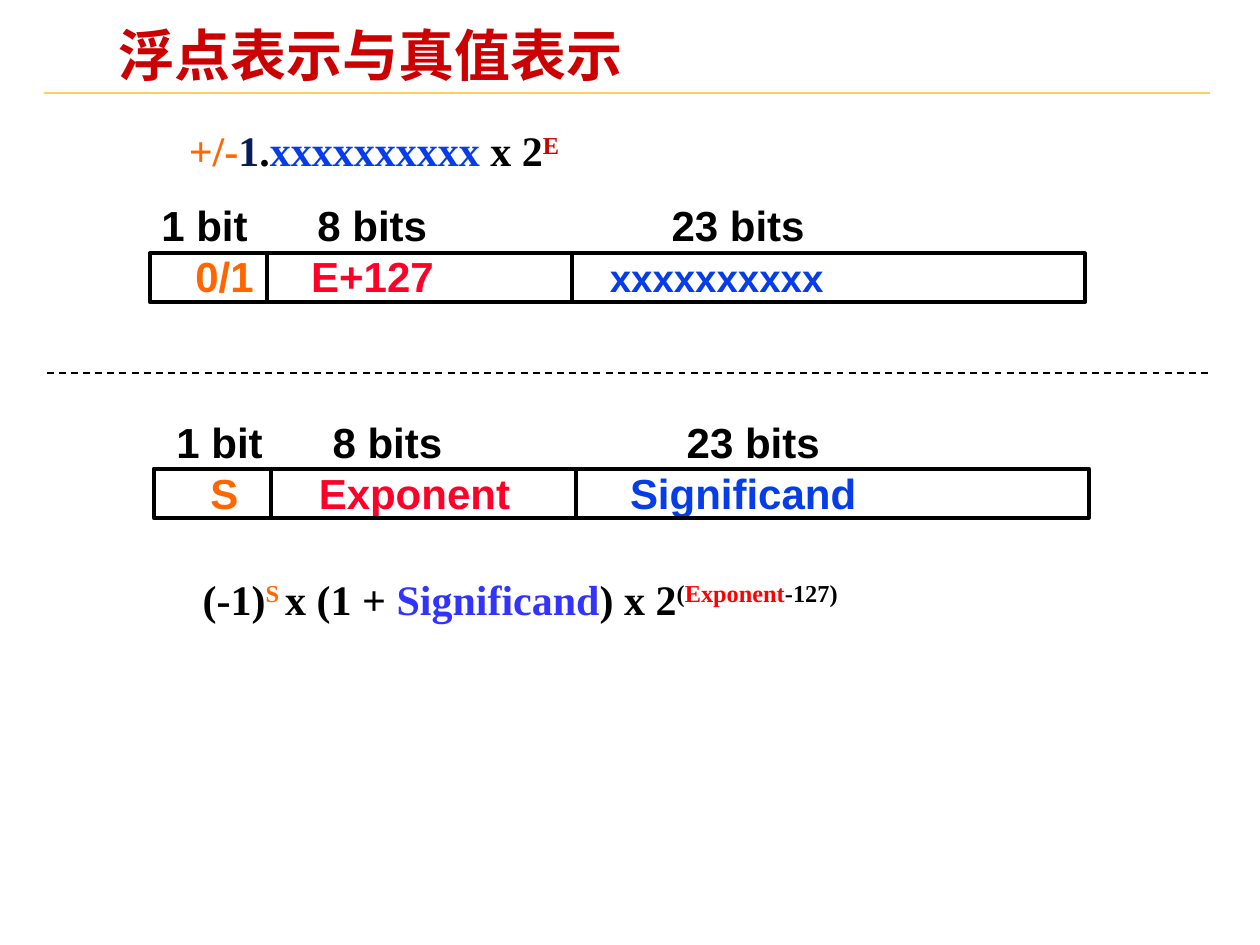
import pptx
import pptx.util
import pptx.dml.color
import pptx.enum.dml
import pptx.enum.shapes
import pptx.enum.text
import lxml.etree

Inches = pptx.util.Inches
Pt = pptx.util.Pt
RGBColor = pptx.dml.color.RGBColor

BLACK = RGBColor(0x00, 0x00, 0x00)
CRIMSON = RGBColor(0xCC, 0x00, 0x00)
GOLD = RGBColor(0xFF, 0xCC, 0x66)
ORANGE = RGBColor(0xFF, 0x66, 0x00)
NAVY = RGBColor(0x08, 0x1D, 0x58)
BLUE = RGBColor(0x06, 0x3D, 0xE9)
PINK = RGBColor(0xFD, 0x01, 0x28)
RED = RGBColor(0xFF, 0x00, 0x00)
VIOLET = RGBColor(0x33, 0x33, 0xFF)
SERIF = "Times New Roman"
NS = "{http://schemas.openxmlformats.org/drawingml/2006/main}"


def add_tabs(para, stops):
    tabs = lxml.etree.SubElement(para._p.get_or_add_pPr(), NS + "tabLst")
    for stop in stops:
        lxml.etree.SubElement(tabs, NS + "tab", pos=str(Inches(stop)), algn="l")


def add_text(slide, box, lines, size=24, font="Arial", pad=(0.07, 0.03),
             wrap=True, space=None, gap=0, stops=()):
    shape = slide.shapes.add_textbox(*map(Inches, box))
    frame = shape.text_frame
    frame.word_wrap = wrap
    frame.vertical_anchor = pptx.enum.text.MSO_ANCHOR.TOP
    frame.margin_left = frame.margin_right = Inches(pad[0])
    frame.margin_top = frame.margin_bottom = Inches(pad[1])
    for i, line in enumerate(lines):
        para = frame.add_paragraph() if i else frame.paragraphs[0]
        if space:
            para.line_spacing = space
        if i:
            para.space_before = Pt(gap)
        if stops:
            add_tabs(para, stops[i])
        for words, color, *extra in line:
            style = extra[0] if extra else {}
            run = para.add_run()
            run.text = words
            run.font.name = font
            run.font.size = Pt(style.get("size", size))
            run.font.bold = True
            run.font.color.rgb = color
            if "raise" in style:
                run._r.get_or_add_rPr().set("baseline", str(style["raise"] * 1000))


def add_line(shapes, start, end, color=BLACK, width=1.0, dash=None):
    line = shapes.add_connector(pptx.enum.shapes.MSO_CONNECTOR.STRAIGHT,
                                *map(Inches, start + end))
    line.line.color.rgb = color
    line.line.width = Pt(width)
    if dash:
        line.line.dash_style = dash
    lxml.etree.SubElement(line._element.spPr, NS + "effectLst")


def add_title(slide, box):
    add_line(slide.shapes, (0.35, 0.74), (9.6, 0.74), GOLD)
    add_text(slide, box, [[("浮点表示与真值表示", CRIMSON)]], size=32, space=0.87)


def add_word(slide, box, frame, values, stops):
    labels = [("\t1 bit\t8 bits\t23 bits", BLACK)]
    add_text(slide, box, [labels, values], space=0.9, gap=3,
             stops=[(0.74, 1.98, 4.79), stops])
    left, top, width, height = frame
    group = slide.shapes.add_group_shape()
    rect = group.shapes.add_shape(pptx.enum.shapes.MSO_SHAPE.RECTANGLE,
                                  *map(Inches, frame))
    rect.shadow.inherit = False
    rect.fill.background()
    rect.line.color.rgb = BLACK
    rect.line.width = Pt(2.25)
    for step in (0.93, 3.35):
        add_line(group.shapes, (left + step, top), (left + step, top + height), width=2.25)


def add_formula(slide, box, runs, wrap=True):
    add_text(slide, box, [runs], font=SERIF, pad=(0.1, 0.05), wrap=wrap)


def main():
    deck = pptx.Presentation()
    deck.slide_width, deck.slide_height = Inches(10), Inches(7.5)
    slide = deck.slides.add_slide(deck.slide_layouts[6])
    power = {"raise": 30}
    add_title(slide, (0.87, 0.21, 6.64, 0.52))
    add_word(slide, (0.47, 1.6, 8.96, 0.81), (1.19, 2.01, 7.42, 0.39),
             [("\t0/1", ORANGE), ("\tE+127", PINK), ("\txxxxxxxxxx", BLUE, {"size": 22})],
             (1.01, 1.93, 4.3))
    add_formula(slide, (1.4, 0.94, 3.14, 0.5),
                [("+/-", ORANGE), ("1", NAVY), (".", BLACK), ("xxxxxxxxxx", BLUE),
                 (" x 2", BLACK), ("E", CRIMSON, power)], wrap=False)
    add_word(slide, (0.59, 3.32, 8.96, 1.22), (1.22, 3.72, 7.42, 0.39),
             [("\tS", ORANGE), ("\tExponent", PINK), ("\tSignificand", BLUE)],
             (1.01, 1.87, 4.34))
    add_formula(slide, (1.51, 4.5, 5.53, 0.5),
                [("(-1)", BLACK), ("S ", ORANGE, power), ("x (1 + ", BLACK),
                 ("Significand", VIOLET), (") x 2", BLACK), ("(", BLACK, power),
                 ("Exponent", RED, power), ("-127)", BLACK, power)])
    add_line(slide.shapes, (0.37, 2.96), (9.61, 2.96),
             dash=pptx.enum.dml.MSO_LINE.DASH)
    deck.save("out.pptx")


if __name__ == "__main__":
    main()
